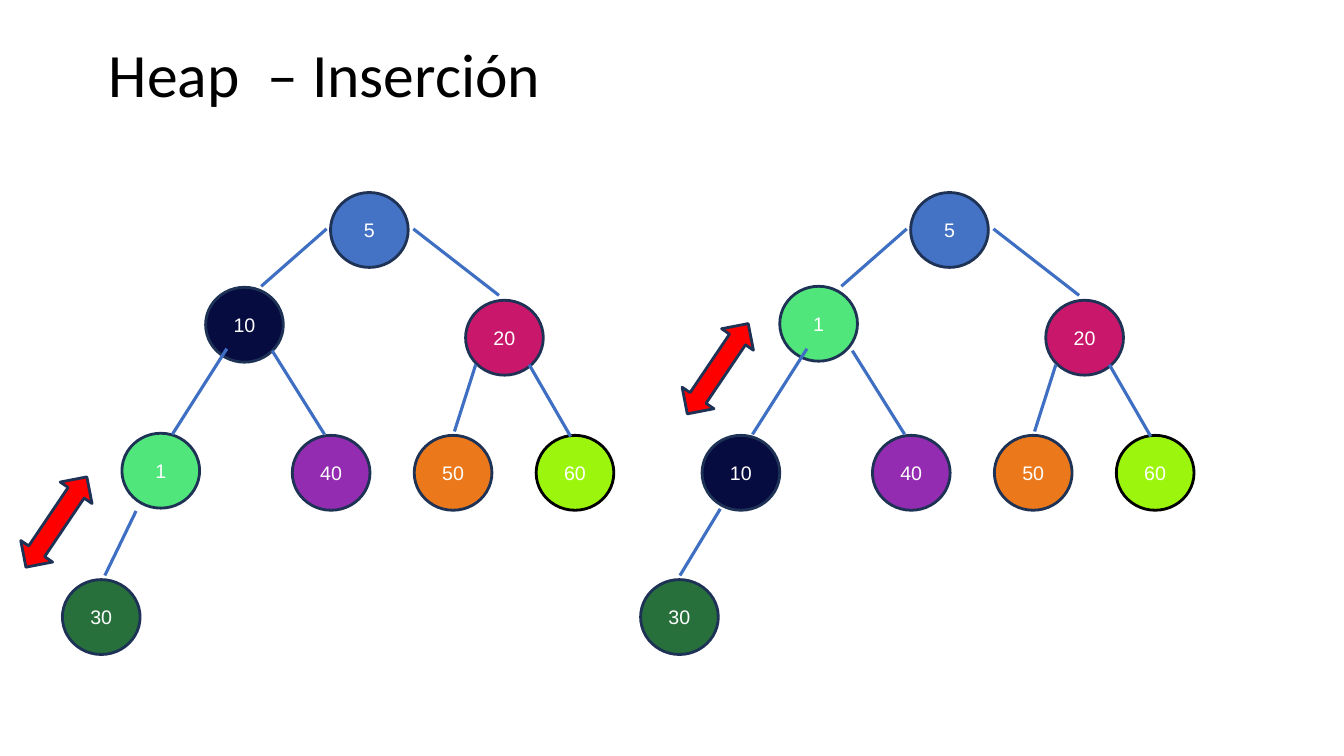
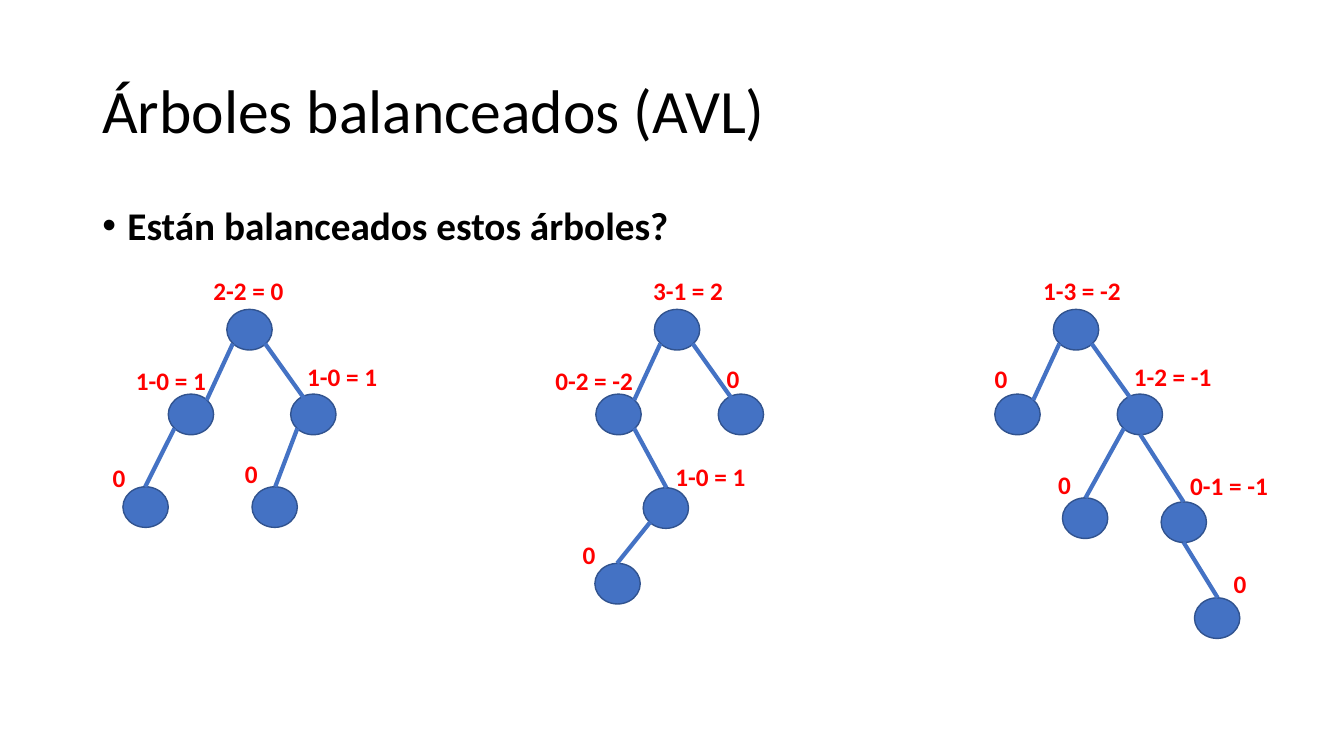
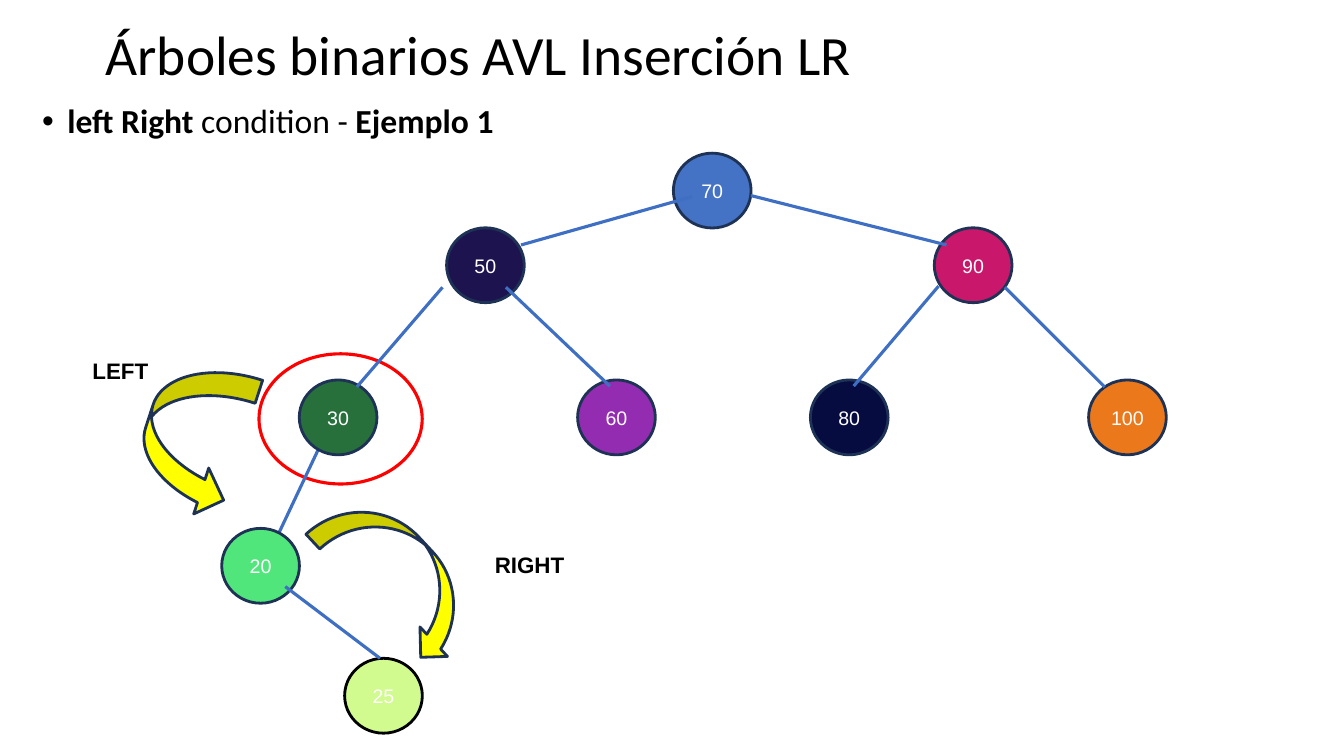
from lxml import etree
from pptx import Presentation
from pptx.dml.color import RGBColor
from pptx.enum import shapes, text
from pptx.oxml import ns
from pptx.util import Pt

BLACK = RGBColor(0x00, 0x00, 0x00)
WHITE = RGBColor(0xFF, 0xFF, 0xFF)
RED = RGBColor(0xFF, 0x00, 0x00)
YELLOW = RGBColor(0xFF, 0xFF, 0x00)
BLUE = RGBColor(0x44, 0x72, 0xC4)
EDGE_BLUE = RGBColor(0x3F, 0x6F, 0xC3)
RIM_BLUE = RGBColor(0x31, 0x53, 0x8F)
OUTLINE = RGBColor(0x1E, 0x32, 0x56)
NAVY = RGBColor(0x06, 0x0B, 0x40)
INDIGO = RGBColor(0x1D, 0x14, 0x4F)
PINK = RGBColor(0xC9, 0x18, 0x6B)
PURPLE = RGBColor(0x93, 0x2C, 0xB0)
FOREST = RGBColor(0x27, 0x70, 0x3C)
ORANGE = RGBColor(0xEB, 0x78, 0x1A)
MINT = RGBColor(0x50, 0xE6, 0x7B)
LIME = RGBColor(0x9C, 0xF5, 0x0C)

SHAPE = shapes.MSO_SHAPE
NODE_SIZE = (55.5, 53.5)
DOT_SIZE = (32.4, 29)

HEAP_NODES = [("5", BLUE, 191.5, 0), ("20", PINK, 288, 77), ("40", PURPLE, 164.2, 173.5),
              ("50", ORANGE, 251.3, 173.5), ("60", LIME, 338.4, 173.5)]
HEAP_EDGES = [(295.2, 123, 280, 170.7), (117.4, 111.6, 78.5, 172.8), (250.6, 26, 311.8, 73.5),
              (142, 67, 188.7, 26), (149.8, 113, 187.2, 172.8), (333.4, 123, 363, 174.3)]
HEAPS = [
    (44.6, [("10", NAVY, 102.3, 67.7), ("1", MINT, 42.5, 172), ("30", FOREST, 0, 276.5)],
     (52.6, 227.5, 30.3, 273.6), (-18, 196.5)),
    (459, [("1", MINT, 98, 67), ("10", NAVY, 42.5, 173.5), ("30", FOREST, -1.4, 276.5)],
     (55.5, 226, 26.7, 273.6), (40, 87)),
]

TOP_DOTS = [(0, 0), (-41.8, 60.5), (45.6, 60.5)]
TOP_EDGES = [(4.3, 24.5, -14.4, 64.8), (27.4, 24.5, 63.4, 75)]
BALANCE_TREES = [
    (162, [(18, 126.7), (-74.2, 126.7)],
     [(50.4, 85, 34.6, 126.7), (-37.4, 85, -58.3, 126.7)],
     [("2-2 = 0", -16.6, -28), ("1-0 = 1", -72, 36.7), ("1-0 = 1", 50.4, 33.8),
      ("0", -88.6, 105.8), ("0", 5.8, 103)]),
    (467.4, [(-8, 127.4), (-42.5, 181.4)],
     [(-14.4, 85, 8.6, 127.4), (-3, 152, -26.6, 181.4)],
     [("3-1 = 2", -8, -28), ("0-2 = -2", -77.8, 36.7), ("0", 44.6, 34.6),
      ("1-0 = 1", 8, 105), ("0", -58.3, 160.6)]),
    (752.4, [(77, 137.5), (6.5, 134.6), (100.8, 206)],
     [(62, 89.3, 93, 137.5), (50.4, 85, 23, 134.6), (93, 166.3, 117.4, 206)],
     [("1-3 = -2", -14.4, -28), ("0", -49, 35.3), ("1-2 = -1", 50.4, 33.8),
      ("0", -3.6, 111), ("0-1 = -1", 90.7, 111.6), ("0", 121.7, 181.4)]),
]

ROTATION_NODES = [("70", BLUE, 322.6, 0), ("90", PINK, 509, 53.3), ("80", NAVY, 420.5, 162),
                  ("60", PURPLE, 254.2, 162), ("30", FOREST, 55.4, 162),
                  ("50", INDIGO, 160.6, 53.3), ("100", ORANGE, 619.2, 162), ("20", MINT, 0, 268)]
ROTATION_EDGES = [(336.2, 31, 213.8, 65.6), (157.7, 95.8, 96.5, 167), (203, 95.8, 277.2, 166.4),
                  (378, 30.3, 517.7, 65.6), (512, 95, 451.4, 166.4), (559.4, 95.8, 630.7, 167),
                  (45.4, 309.6, 113, 360.8)]


def points(*values):
    """Turn numbers into lengths in points."""
    return [Pt(value) for value in values]


def add_text(page, spans, box, size, font="Calibri", color=BLACK, bullet=False,
             anchor=text.MSO_ANCHOR.TOP, spacing=None):
    """Add a one-paragraph text box from (wording, bold) spans."""
    frame = page.shapes.add_textbox(*points(*box)).text_frame
    frame.word_wrap = True
    frame.vertical_anchor = anchor
    para = frame.paragraphs[0]
    para.line_spacing = spacing
    if bullet:
        para.alignment = text.PP_ALIGN.JUSTIFY
        props = para._p.get_or_add_pPr()
        props.set("marL", str(Pt(18)))
        props.set("indent", str(-Pt(18)))
        etree.SubElement(props, ns.qn("a:buFont")).set("typeface", "Arial")
        etree.SubElement(props, ns.qn("a:buChar")).set("char", "•")
    for wording, bold in spans:
        span = para.add_run()
        span.text = wording
        span.font.name = font
        span.font.size = Pt(size)
        span.font.bold = bold
        span.font.color.rgb = color


def add_title(page, wording, box, size=44):
    """Add the slide title."""
    add_text(page, [(wording, False)], box, size, anchor=text.MSO_ANCHOR.MIDDLE, spacing=0.9)


def add_figure(page, kind, box, fill, line=OUTLINE, weight=2, turn=0):
    """Add an outlined preset shape, hollow when fill is None."""
    figure = page.shapes.add_shape(kind, *points(*box))
    figure.shadow.inherit = False
    figure.rotation = turn
    if fill is None:
        figure.fill.background()
    else:
        figure.fill.solid()
        figure.fill.fore_color.rgb = fill
    figure.line.color.rgb = line
    figure.line.width = Pt(weight)
    return figure


def add_nodes(page, left, top, nodes):
    """Add numbered tree nodes relative to a corner and return them."""
    figures = []
    for label, fill, x, y in nodes:
        line = BLACK if fill == LIME else OUTLINE
        node = add_figure(page, SHAPE.FLOWCHART_CONNECTOR,
                          (left + x, top + y, *NODE_SIZE), fill, line)
        frame = node.text_frame
        frame.margin_left = frame.margin_right = 0
        frame.vertical_anchor = text.MSO_ANCHOR.MIDDLE
        para = frame.paragraphs[0]
        para.text = label
        para.alignment = text.PP_ALIGN.CENTER
        font = para.runs[0].font
        font.name, font.size, font.color.rgb = "Arial", Pt(14), WHITE
        figures.append(node)
    return figures


def add_edges(page, left, top, edges, color=EDGE_BLUE, weight=2.25):
    """Add tree edges relative to a corner."""
    for x1, y1, x2, y2 in edges:
        edge = page.shapes.add_connector(
            shapes.MSO_CONNECTOR.STRAIGHT,
            *points(left + x1, top + y1, left + x2, top + y2))
        edge.line.color.rgb = color
        edge.line.width = Pt(weight)
        etree.SubElement(edge._element.spPr, ns.qn("a:effectLst"))


def add_heap(page, left, top, nodes, last_edge, arrow):
    """Add one heap and the red arrow that marks its swap."""
    add_nodes(page, left, top, HEAP_NODES + nodes)
    add_edges(page, left, top, HEAP_EDGES + [last_edge])
    x, y = arrow
    add_figure(page, SHAPE.UP_DOWN_ARROW, (left + x, top + y, 27.4, 77.8), RED, turn=34)


def add_balance_tree(page, left, top, dots, edges, labels):
    """Add one tree of plain dots with its balance factors."""
    for x, y in TOP_DOTS + dots:
        add_figure(page, SHAPE.OVAL, (left + x, top + y, *DOT_SIZE), BLUE, RIM_BLUE, 1)
    add_edges(page, left, top, TOP_EDGES + edges, BLUE, 3)
    for label, x, y in labels:
        add_text(page, [(label, True)], (left + x, top + y, 81, 29), 18, color=RED)


def add_rotation_tree(page, left, top):
    """Add the AVL tree with its left and right rotation marks."""
    add_figure(page, SHAPE.OVAL, (left + 26.6, top + 143.3, 116.6, 93), None, RED, 2.25)
    add_edges(page, left, top, [(71.3, 206.7, 35.3, 283)])
    add_nodes(page, left, top, ROTATION_NODES)
    inserted = add_nodes(page, left, top, [("25", LIME, 87.8, 360.8)])[0]
    shade = inserted._element.spPr.find(ns.qn("a:solidFill"))[0]
    etree.SubElement(shade, ns.qn("a:alpha")).set("val", "46000")
    add_edges(page, left, top, ROTATION_EDGES)
    for kind, x, y, width, height, turn in (
            (SHAPE.CURVED_RIGHT_ARROW, -54.7, 149, 69, 107.3, 18),
            (SHAPE.CURVED_DOWN_ARROW, 59.8, 273, 134.6, 57.6, 47)):
        add_figure(page, kind, (left + x, top + y, width, height), YELLOW, turn=turn)
    for label, x, y in (("LEFT", -99.4, 142), ("RIGHT", 188, 281)):
        add_text(page, [(label, True)], (left + x, top + y, 86.4, 26.6), 16, "Arial")


def build_heap_slide(page):
    """Fill the heap insertion slide."""
    add_title(page, "Heap  – Inserción", (70.6, 3, 828, 104.4))
    for left, nodes, last_edge, arrow in HEAPS:
        add_heap(page, left, 137.5, nodes, last_edge, arrow)


def build_balance_slide(page):
    """Fill the balanced trees slide."""
    add_text(page, [("Están balanceados estos árboles?", True)], (66, 144, 828, 384.5), 28,
             bullet=True, spacing=0.9)
    add_title(page, "Árboles balanceados (AVL)", (66, 28.8, 828, 104.4))
    for left, dots, edges, labels in BALANCE_TREES:
        add_balance_tree(page, left, 221, dots, edges, labels)


def build_rotation_slide(page):
    """Fill the left-right rotation slide."""
    add_title(page, "Árboles binarios AVL Inserción LR", (68.4, 18.7, 825.8, 44.6), 39.6)
    add_text(page, [("left Right ", True), ("condition - ", False), ("Ejemplo 1", True)],
             (23, 71.3, 833.8, 44), 24, bullet=True, spacing=0.9)
    add_rotation_tree(page, 158.4, 109.4)


def main():
    """Build and save the deck."""
    deck = Presentation()
    deck.slide_width, deck.slide_height = points(960, 540)
    for build in (build_heap_slide, build_balance_slide, build_rotation_slide):
        build(deck.slides.add_slide(deck.slide_layouts[6]))
    deck.save("out.pptx")


if __name__ == "__main__":
    main()
